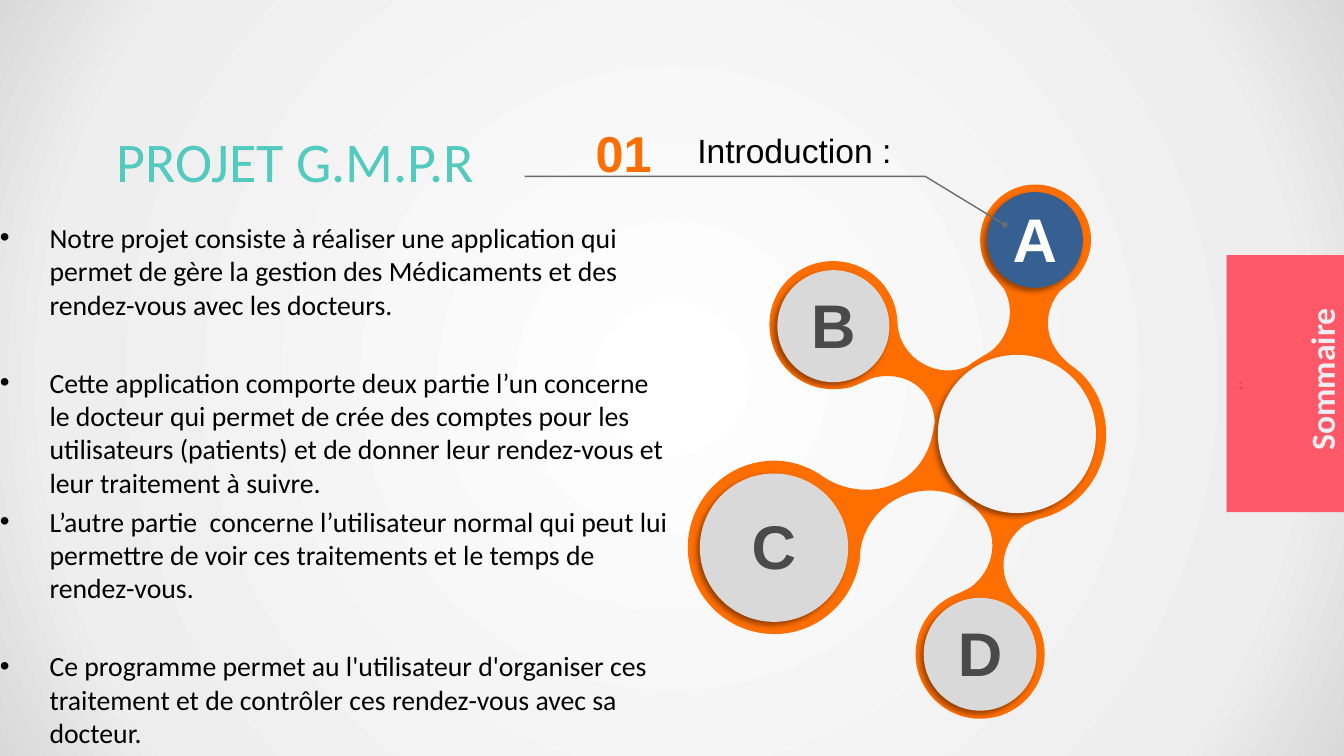
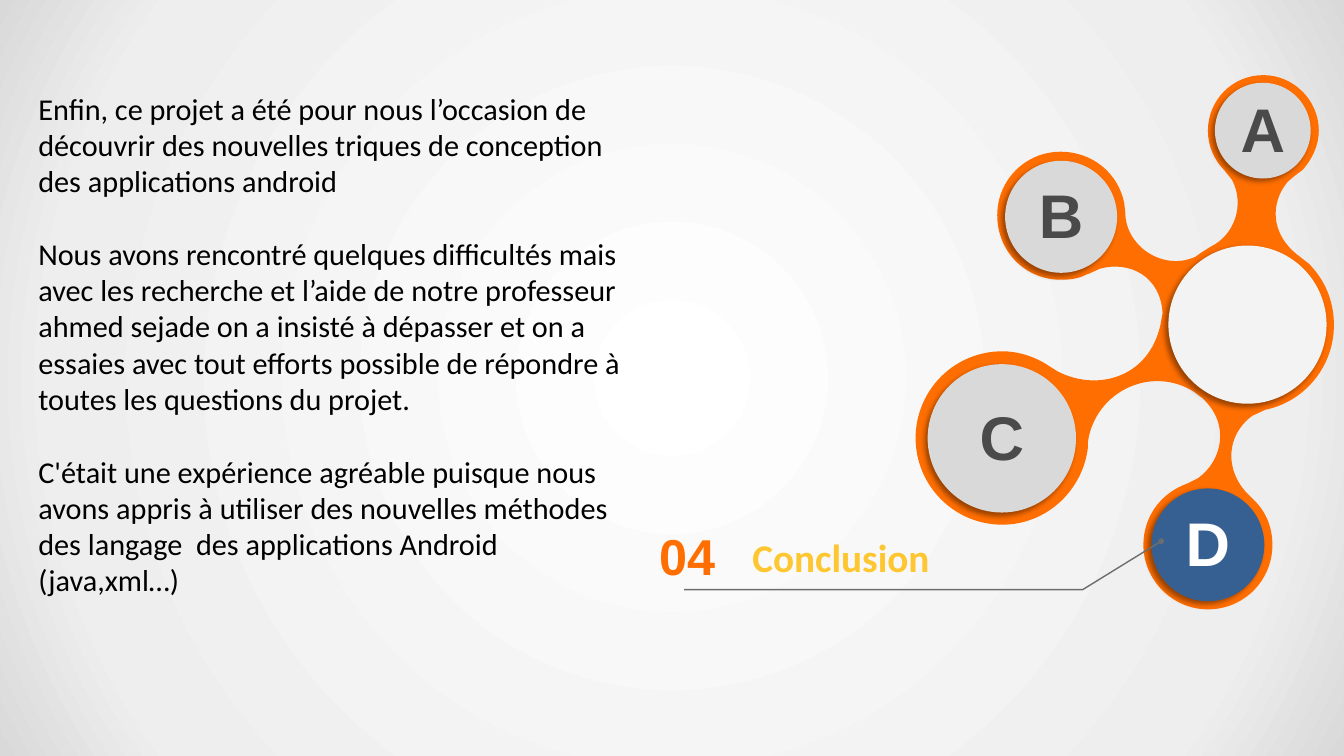
from lxml import etree
from pptx import Presentation
from pptx.dml.color import RGBColor
from pptx.enum.shapes import MSO_SHAPE
from pptx.enum.text import MSO_ANCHOR, PP_ALIGN
from pptx.oxml import parse_xml
from pptx.oxml.ns import nsdecls, qn
from pptx.util import Pt

ORANGE = RGBColor(0xFF, 0x6E, 0x01)
YELLOW = RGBColor(0xFE, 0xC6, 0x30)
TEAL = RGBColor(0x52, 0xCB, 0xBE)
BLUE = RGBColor(0x37, 0x60, 0x92)
CORAL = RGBColor(0xFF, 0x59, 0x69)
RED = RGBColor(0xFF, 0x00, 0x00)
BLACK = RGBColor(0x00, 0x00, 0x00)
WHITE = RGBColor(0xFF, 0xFF, 0xFF)
DARK_GREY = RGBColor(0x4A, 0x4A, 0x4A)
LINE_GREY = RGBColor(0x6D, 0x6D, 0x6D)
NODE_GREY = RGBColor(0xD9, 0xD9, 0xD9)
HUB_GREY = RGBColor(0xF3, 0xF3, 0xF3)
TAB_TEXT = RGBColor(0xF0, 0xEE, 0xF0)
BACKDROP = [(0, "FFFFFF"), (81, "EEEEEE"), (100, "D9D9D9")]

# Molecule outline on a grid of 0.72 pt: pairs are lines, sixes are Bézier curves
GRID = 0.72
OUTLINE_START = (345, 0)
OUTLINE = [
    (375, 0, 400, 25, 400, 55), (400, 70, 393, 84, 384, 94),
    (376, 100), (369, 106), (353, 125, 350, 157, 381, 180),
    (390, 187), (406, 203, 415, 224, 415, 248), (415, 289, 386, 324, 347, 332),
    (334, 338), (308, 357, 306, 392, 330, 416),
    (335, 421), (347, 432, 354, 448, 354, 466), (354, 501, 326, 530, 290, 530),
    (255, 530, 226, 501, 226, 466), (226, 439, 242, 417, 265, 407),
    (270, 405), (280, 400), (304, 383, 313, 346, 284, 320),
    (276, 314), (236, 289, 183, 311, 172, 358),
    (171, 364), (171, 369), (166, 412, 130, 446, 86, 446),
    (38, 446, 0, 407, 0, 360), (0, 313, 38, 274, 86, 274),
    (103, 274, 120, 280, 133, 289), (141, 294), (182, 315, 235, 299, 244, 242),
    (245, 236), (243, 200, 213, 184, 183, 192),
    (172, 197), (169, 198), (162, 202, 153, 203, 144, 203),
    (109, 203, 81, 175, 81, 139), (81, 104, 109, 76, 144, 76),
    (175, 76, 201, 97, 207, 127), (208, 136), (208, 170, 246, 195, 278, 180),
    (282, 177), (293, 170), (316, 159, 327, 129, 314, 104),
    (306, 94), (296, 84, 290, 70, 290, 55), (290, 25, 314, 0, 345, 0),
]
# Letter: left, top, diameter inside the molecule
NODES = {"B": (64, 61.2, 80), "D": (168.5, 295.2, 80.6),
         "A": (213.8, 5.4, 68.4), "C": (8.6, 206.4, 106)}
HUB = (178.6, 121.7, 113)

PROJECT_POINTS = [
    "Notre projet consiste à réaliser une application qui permet de gère la gestion "
    "des Médicaments et des rendez-vous avec les docteurs.",
    "Cette application comporte deux partie l’un concerne le docteur qui permet de "
    "crée des comptes pour les utilisateurs (patients) et de donner leur rendez-vous "
    "et leur traitement à suivre.",
    "L’autre partie  concerne l’utilisateur normal qui peut lui permettre de voir ces "
    "traitements et le temps de rendez-vous.",
    "Ce programme permet au l'utilisateur d'organiser ces traitement et de contrôler "
    "ces rendez-vous avec sa docteur.",
]
CONCLUSION = [
    "Enfin, ce projet a été pour nous l’occasion de découvrir des nouvelles triques de "
    "conception des applications android",
    "Nous avons rencontré quelques difficultés mais avec les recherche et l’aide de "
    "notre professeur ahmed sejade on a insisté à dépasser et on a essaies avec tout "
    "efforts possible de répondre à toutes les questions du projet.",
    "C'était une expérience agréable puisque nous avons appris à utiliser des nouvelles "
    "méthodes des langage  des applications Android (java,xml…)",
]


def write(shape, paragraphs, size, color, font="Calibri", bold=False,
          align=PP_ALIGN.LEFT, anchor=MSO_ANCHOR.TOP, insets=(7.2, 3.6, 7.2, 3.6),
          gaps=(), bullet=False):
    """Fill a shape with paragraphs; gaps are the spaces before the later ones."""
    frame = shape.text_frame
    frame.word_wrap = True
    frame.vertical_anchor = anchor
    (frame.margin_left, frame.margin_top,
     frame.margin_right, frame.margin_bottom) = map(Pt, insets)
    for index, text in enumerate(paragraphs):
        paragraph = frame.paragraphs[0] if index == 0 else frame.add_paragraph()
        paragraph.alignment = align
        if index and gaps:
            paragraph.space_before = Pt(gaps[index - 1])
        if bullet:
            props = paragraph._p.get_or_add_pPr()
            props.set("marL", str(Pt(35.4)))
            props.set("indent", str(-Pt(35.4)))
            etree.SubElement(props, qn("a:buFont")).set("typeface", "Arial")
            etree.SubElement(props, qn("a:buChar")).set("char", "•")
        run = paragraph.add_run()
        run.text = text
        run.font.name = font
        run.font.size = Pt(size)
        run.font.bold = bold
        run.font.color.rgb = color


def add_label(slide, box, paragraphs, size, color, **style):
    label = slide.shapes.add_textbox(*map(Pt, box))
    write(label, paragraphs, size, color, **style)
    return label


def paint(shape, color):
    shape.shadow.inherit = False
    shape.fill.solid()
    shape.fill.fore_color.rgb = color
    shape.line.fill.background()


def set_backdrop(master):
    """Give every slide the same circular gradient."""
    master.background.fill.solid()
    stops = "".join(f'<a:gs pos="{pos * 1000}"><a:srgbClr val="{color}"/></a:gs>'
                    for pos, color in BACKDROP)
    gradient = parse_xml(
        f'<a:gradFill {nsdecls("a")} rotWithShape="1"><a:gsLst>{stops}</a:gsLst>'
        '<a:path path="circle"><a:fillToRect l="50000" t="50000" r="50000" b="50000"/>'
        '</a:path></a:gradFill>')
    props = master.element.xpath(".//p:bgPr")[0]
    props.replace(props[0], gradient)


def add_path(slide, points, close):
    start, *rest = [(Pt(x), Pt(y)) for x, y in points]
    builder = slide.shapes.build_freeform(*start)
    builder.add_line_segments(rest, close=close)
    return builder.convert_to_shape()


def bend(outline, segments):
    """Turn the straight steps of an outline into its Bézier curves."""
    for step, segment in zip(list(outline._element.iter(qn("a:lnTo"))), segments):
        if len(segment) == 6:
            curve = etree.Element(qn("a:cubicBezTo"))
            for x, y in zip(segment[::2], segment[1::2]):
                point = etree.SubElement(curve, qn("a:pt"))
                point.set("x", str(Pt(x * GRID)))
                point.set("y", str(Pt(y * GRID)))
            step.getparent().replace(step, curve)


def add_disc(slide, left, top, diameter, color):
    disc = slide.shapes.add_shape(MSO_SHAPE.OVAL, Pt(left), Pt(top),
                                  Pt(diameter), Pt(diameter))
    paint(disc, color)
    effects = disc._element.spPr.find(qn("a:effectLst"))
    effects.append(parse_xml(
        f'<a:outerShdw {nsdecls("a")} blurRad="{Pt(4)}" dist="{Pt(3)}" dir="8100000" '
        'algn="tr" rotWithShape="0"><a:srgbClr val="000000"><a:alpha val="40000"/>'
        '</a:srgbClr></a:outerShdw>'))
    return disc


def add_molecule(slide, left, top, active, hub_shift=0):
    """Orange body with lettered nodes; the active one is blue."""
    corners = [OUTLINE_START] + [segment[-2:] for segment in OUTLINE]
    body = add_path(slide, [(left + x * GRID, top + y * GRID) for x, y in corners],
                    close=True)
    bend(body, OUTLINE)
    paint(body, ORANGE)
    for letter, (dx, dy, diameter) in NODES.items():
        chosen = letter == active
        node = add_disc(slide, left + dx, top + dy, diameter,
                        BLUE if chosen else NODE_GREY)
        write(node, [letter], 44, WHITE if chosen else DARK_GREY, font="Arial",
              bold=True, align=PP_ALIGN.CENTER, anchor=MSO_ANCHOR.MIDDLE,
              insets=(1.4, 3.6, 1.4, 7.2))
    dx, dy, diameter = HUB
    add_disc(slide, left + dx + hub_shift, top + dy, diameter, HUB_GREY)


def add_leader(slide, points):
    """Thin bent line that starts with a dot in the active node."""
    leader = add_path(slide, points, close=False)
    leader.shadow.inherit = False
    leader.fill.background()
    leader.line.color.rgb = LINE_GREY
    leader.line.width = Pt(1)
    dot = etree.SubElement(leader.line._get_or_add_ln(), qn("a:headEnd"))
    for key, value in (("type", "oval"), ("w", "sm"), ("len", "sm")):
        dot.set(key, value)


def add_number(slide, left, top, number):
    add_label(slide, (left, top, 58.4, 41), [number], 36, ORANGE,
              font="Arial", bold=True)


def add_summary_tab(slide, left, top, width, height):
    tab = slide.shapes.add_shape(MSO_SHAPE.RECTANGLE, *map(Pt, (left, top, width, height)))
    paint(tab, CORAL)
    write(tab, [";"], 8, RED, font="Arial", anchor=MSO_ANCHOR.MIDDLE,
          insets=(9.4, 5, 9.4, 5))
    length, thickness = 120, 36
    center_x, center_y = left + width - 16, top + height / 2 - 3
    caption = add_label(slide, (center_x - length / 2, center_y - thickness / 2,
                                length, thickness),
                        ["Sommaire"], 24, TAB_TEXT, bold=True, align=PP_ALIGN.CENTER)
    caption.rotation = 270


def build_introduction(slide):
    add_molecule(slide, 491.3, 131.8, active="A")
    add_number(slide, 418.3, 83.5, "01")
    add_leader(slide, [(717.8, 160.6), (661, 126), (374.8, 126)])
    add_label(slide, (491, 89.3, 220, 36), ["Introduction :"], 24, BLACK, font="Arial")
    add_summary_tab(slide, 876.2, 182.2, 83.8, 183.6)
    add_label(slide, (0, 154.2, 484, 385.8), PROJECT_POINTS, 19.8, BLACK, bullet=True,
              gaps=(32, 4, 32), insets=(0, 3.6, 7.2, 0))
    add_label(slide, (61, 87, 300, 56), ["PROJET G.M.P.R"], 40, TEAL,
              align=PP_ALIGN.CENTER)


def build_conclusion(slide):
    add_molecule(slide, 654, 53.7, active="D", hub_shift=2)
    add_number(slide, 463.7, 371.5, "04")
    add_leader(slide, [(829.4, 386.6), (773.3, 421.2), (488.6, 421.2)])
    add_label(slide, (510.7, 377.3, 180, 41), ["Conclusion"], 28, YELLOW,
              bold=True, align=PP_ALIGN.CENTER)
    add_label(slide, (18, 59.2, 449, 376), CONCLUSION, 21.6, BLACK,
              gaps=(26, 26), insets=(9.4, 5, 9.4, 5))


def main():
    deck = Presentation()
    deck.slide_width, deck.slide_height = Pt(960), Pt(540)
    set_backdrop(deck.slide_master)
    for build in (build_introduction, build_conclusion):
        build(deck.slides.add_slide(deck.slide_layouts[6]))
    deck.save("out.pptx")


if __name__ == "__main__":
    main()
